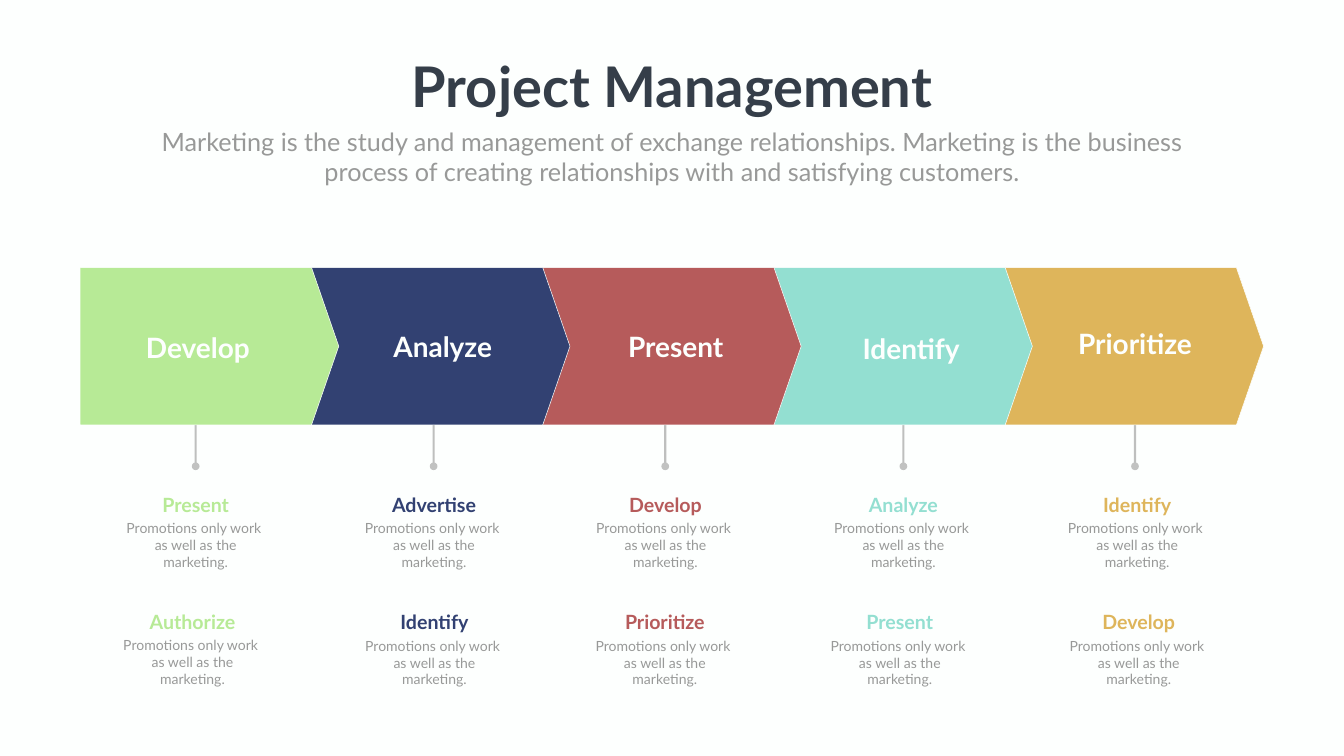
from typing import NamedTuple

from lxml import etree
from pptx import Presentation
from pptx import util as u
from pptx.dml import color as col
from pptx.enum import shapes as sh, text as tx
from pptx.oxml import ns

FONT = "Lato"
PAPER, INK, GREY, DOT, STEM = "FDFFFE", "353E49", "989998", "C1C2C1", "808080"
BODY = ("Promotions only work ", "as well as the marketing.")
TOP, TALL, WIDE, TIP, STEP, LEFT = 13.49, 7.92, 13.03, 1.37, 11.65, 4.04
STEM_END, DOT_SIZE = 23.5, 0.39
BODY_DROP = 1.36


class Style(NamedTuple):
    size: int
    hue: str
    bold: bool = False


class Note(NamedTuple):
    head: str
    mid: float
    top: float


class Stage(NamedTuple):
    name: str
    hue: str
    mid: float
    top: float
    stem: float
    notes: tuple[Note, Note]


STAGES = [
    Stage("Develop", "B7EA96", 9.97, 16.54, 9.86,
          (Note("Present", 9.86, 24.71), Note("Authorize", 9.7, 30.59))),
    Stage("Analyze", "324172", 22.31, 16.48, 21.85,
          (Note("Advertise", 21.87, 24.71), Note("Identify", 21.89, 30.63))),
    Stage("Present", "B65B5B", 34.05, 16.48, 33.52,
          (Note("Develop", 33.53, 24.71), Note("Prioritize", 33.5, 30.63))),
    Stage("Identify", "93DFD1", 45.91, 16.56, 45.52,
          (Note("Analyze", 45.52, 24.71), Note("Present", 45.34, 30.63))),
    Stage("Prioritize", "DEB55B", 57.19, 16.33, 57.19,
          (Note("Identify", 57.3, 24.71), Note("Develop", 57.38, 30.63))),
]


def rgb(code: str) -> col.RGBColor:
    return col.RGBColor.from_string(code)


def add_text(slide, lines: tuple[str, ...], mid: float, top: float,
             wide: float, tall: float, style: Style, wrap: bool = True) -> None:
    box = slide.shapes.add_textbox(
        u.Cm(mid - wide / 2), u.Cm(top), u.Cm(wide), u.Cm(tall))
    frame = box.text_frame
    frame.word_wrap = wrap
    frame.auto_size = tx.MSO_AUTO_SIZE.SHAPE_TO_FIT_TEXT
    for spot, line in enumerate(lines):
        para = frame.add_paragraph() if spot else frame.paragraphs[0]
        para.alignment = tx.PP_ALIGN.CENTER
        run = para.add_run()
        run.text = line
        run.font.name = FONT
        run.font.size = u.Pt(style.size)
        run.font.bold = style.bold
        run.font.color.rgb = rgb(style.hue)


def add_stem(slide, mid: float) -> None:
    line = slide.shapes.add_connector(
        sh.MSO_CONNECTOR.STRAIGHT,
        u.Cm(mid), u.Cm(TOP + TALL / 2), u.Cm(mid), u.Cm(STEM_END))
    line.line.width = u.Pt(3)
    line.line.color.rgb = rgb(STEM)
    props = line._element.spPr
    tint = props.find(".//" + ns.qn("a:srgbClr"))
    etree.SubElement(tint, ns.qn("a:alpha"), val="50000")
    etree.SubElement(props, ns.qn("a:effectLst"))
    dot = slide.shapes.add_shape(
        sh.MSO_SHAPE.OVAL, u.Cm(mid - DOT_SIZE / 2),
        u.Cm(STEM_END - DOT_SIZE / 2), u.Cm(DOT_SIZE), u.Cm(DOT_SIZE))
    dot.shadow.inherit = False
    dot.fill.solid()
    dot.fill.fore_color.rgb = rgb(DOT)
    dot.line.fill.background()


def add_arrow(slide, spot: int, hue: str) -> None:
    arrow = slide.shapes.add_shape(
        sh.MSO_SHAPE.PENTAGON, u.Cm(LEFT + spot * STEP), u.Cm(TOP),
        u.Cm(WIDE), u.Cm(TALL))
    arrow.adjustments[0] = TIP / TALL
    arrow.shadow.inherit = False
    arrow.fill.solid()
    arrow.fill.fore_color.rgb = rgb(hue)
    arrow.line.color.rgb = rgb(PAPER)
    arrow.line.width = u.Pt(0.75)


def add_note(slide, note: Note, hue: str) -> None:
    add_text(slide, (note.head,), note.mid, note.top, 5.13, 1.45,
             Style(28, hue, True))
    add_text(slide, BODY, note.mid, note.top + BODY_DROP, 7.92, 1.96,
             Style(20, GREY))


def main() -> None:
    deck = Presentation()
    deck.slide_width, deck.slide_height = u.Cm(67.72), u.Cm(38.1)
    slide = deck.slides.add_slide(deck.slide_layouts[6])
    slide.background.fill.solid()
    slide.background.fill.fore_color.rgb = rgb(PAPER)

    for stage in STAGES:
        add_stem(slide, stage.stem)
    for spot, stage in reversed(list(enumerate(STAGES))):
        add_arrow(slide, spot, stage.hue)
    for stage in STAGES:
        add_text(slide, (stage.name,), stage.mid, stage.top, 7.59, 1.96,
                 Style(40, PAPER, True))
        for note in stage.notes:
            add_note(slide, note, stage.hue)

    add_text(slide, ("Project Management",), 33.86, 2.46, 27.33, 3.68,
             Style(80, INK, True), wrap=False)
    add_text(slide, ("Marketing is the study and management of exchange "
                     "relationships. Marketing is the business process of "
                     "creating relationships with and satisfying customers.",),
             33.86, 6.25, 52.88, 3.33, Style(36, GREY))
    deck.save("out.pptx")


if __name__ == "__main__":
    main()
